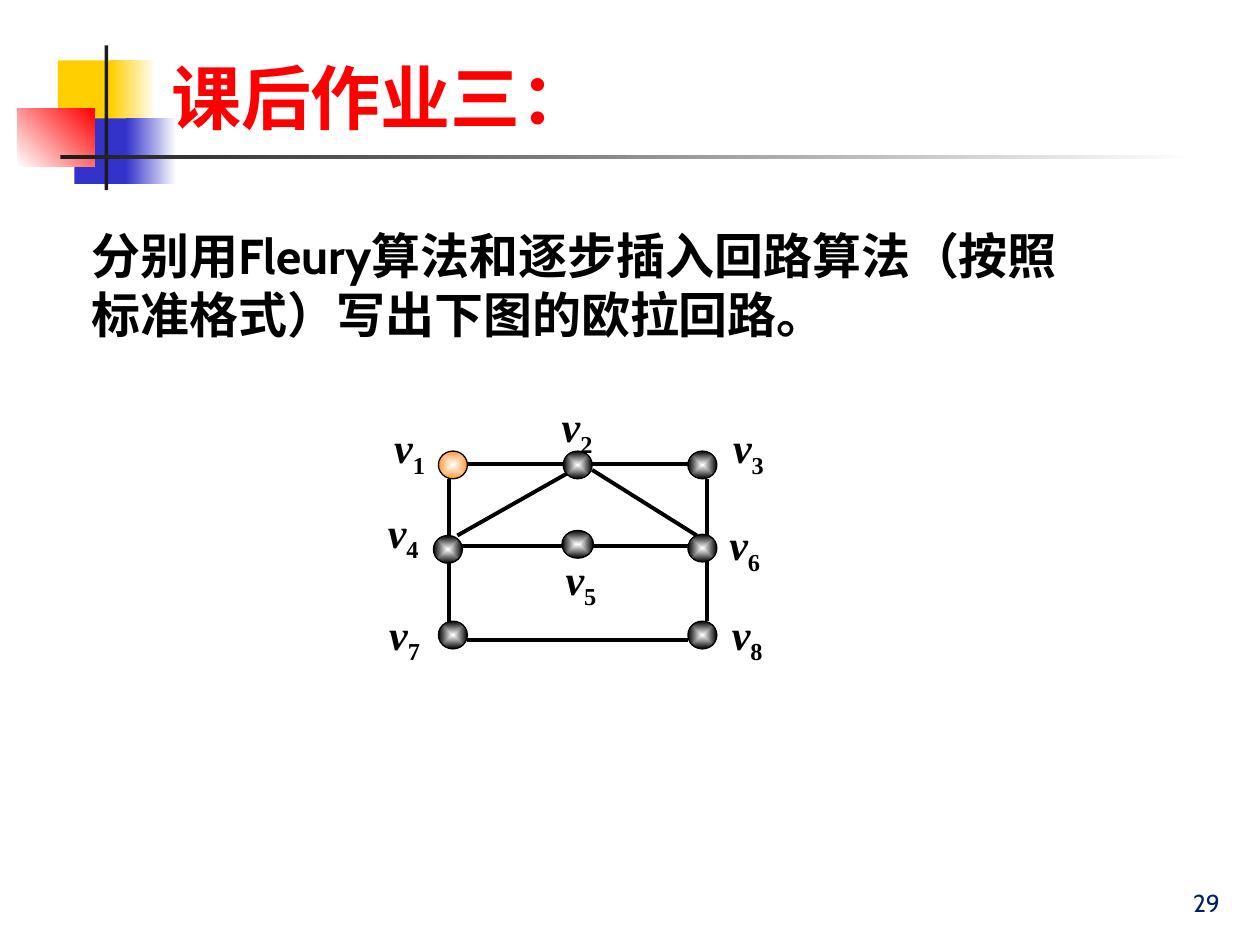
from lxml import etree
from pptx import Presentation
from pptx.dml.color import RGBColor
from pptx.enum.shapes import MSO_CONNECTOR, MSO_SHAPE
from pptx.enum.text import MSO_ANCHOR, PP_ALIGN
from pptx.oxml.ns import qn
from pptx.util import Inches, Pt

RECT, OVAL, LINE = MSO_SHAPE.RECTANGLE, MSO_SHAPE.OVAL, MSO_CONNECTOR.STRAIGHT
TOP, BOTTOM = MSO_ANCHOR.TOP, MSO_ANCHOR.BOTTOM
LEFT, RIGHT = PP_ALIGN.LEFT, PP_ALIGN.RIGHT
BLACK, WHITE = RGBColor(0, 0, 0), RGBColor(255, 255, 255)
RED, YELLOW = RGBColor(255, 0, 0), RGBColor(0xFF, 0xCF, 0x01)
BLUE, INK = RGBColor(0x33, 0x33, 0xCC), RGBColor(0x1C, 0x1C, 0x1C)
ORANGE, NAVY = RGBColor(0xFF, 0x99, 0x33), RGBColor(0, 0x20, 0x60)

prs = Presentation()
prs.slide_width, prs.slide_height = Inches(10), Inches(7.5)
U = prs.slide_width // 100  # grid of 100 columns by 75 square rows
s = prs.slides.add_slide(prs.slide_layouts[6])


def add_filled(kind, box, first, last=None, angle=None):
    """Add a shape; two colours make a gradient, from the centre if no angle."""
    sp = s.shapes.add_shape(kind, *(int(v * U) for v in box))
    sp.shadow.inherit = False
    sp.line.fill.background()
    if last is None:
        sp.fill.solid()
        sp.fill.fore_color.rgb = first
        return sp
    sp.fill.gradient()
    for stop, color in zip(sp.fill.gradient_stops, (first, last)):
        stop.color.rgb = color
    if angle is not None:
        sp.fill.gradient_angle = angle
    else:
        grad = sp._element.spPr.find(qn("a:gradFill"))
        grad.remove(grad.find(qn("a:lin")))
        center = etree.SubElement(grad, qn("a:path"), path="shape")
        etree.SubElement(center, qn("a:fillToRect"),
                         dict.fromkeys("ltrb", "50000"))
    return sp


def add_text(box, runs, anchor=TOP, align=LEFT, wrap=True):
    """Add one paragraph made of (text, font values) runs."""
    tf = s.shapes.add_textbox(*(int(v * U) for v in box)).text_frame
    tf.word_wrap, tf.vertical_anchor = wrap, anchor
    p = tf.paragraphs[0]
    p.alignment = align
    for text, values in runs:
        r = p.add_run()
        r.text = text
        for name, value in values.items():
            if name == "color":
                r.font.color.rgb = value
            else:
                setattr(r.font, name, value)
    return p


# Corner ornament and title rule
for box, *colors in (
    ((4.6, 4.8, 4.8, 5.2), YELLOW),
    ((8.8, 4.8, 3.6, 5.2), YELLOW, WHITE, 0),
    ((5.9, 9.4, 4.6, 5.2), BLUE),
    ((10, 9.4, 4, 5.2), BLUE, WHITE, 0),
    ((1.4, 8.6, 6.1, 4.6), WHITE, RED, 45),
    ((8.3, 3.6, 0.3, 11.5), INK),
    ((4.8, 12.3, 90, 0.3), INK, WHITE, 0),
):
    add_filled(RECT, box, *colors)

# Title, exercise and page number
p = add_text((12.6, 0.8, 85.2, 10.7), [("课后作业三：", dict(
    size=Pt(40), name="Cabin", bold=True, color=RED))], BOTTOM)
rPr = p.runs[0].font._element
effects = etree.Element(qn("a:effectLst"))
rPr.find(qn("a:solidFill")).addnext(effects)
shadow = etree.SubElement(effects, qn("a:outerShdw"),
                          dist="38100", dir="2700000")
etree.SubElement(shadow, qn("a:srgbClr"), val="000000")
add_text((6.3, 17.4, 79.8, 15.1), [(
    "分别用Fleury算法和逐步插入回路算法（按照标准格式）写出下图的欧拉回路。",
    dict(size=Pt(28), name="Cabin", bold=True, color=BLACK))])
add_text((77, 68.3, 20.8, 5), [("29", dict(
    size=Pt(14), name="Cabin", color=NAVY))], BOTTOM, RIGHT)

# Graph edges
for ends in (
    (36.3, 42.5, 45.5, 37.3),
    (47, 37.3, 55.3, 42.5),
    (35.6, 38, 35.6, 50),
    (56.1, 38, 56.1, 49.3),
    (37.1, 36.8, 54.6, 36.8),
    (36.3, 43.3, 54.6, 43.3),
    (37.1, 50.8, 54.6, 50.8),
):
    edge = s.shapes.add_connector(LINE, *(int(v * U) for v in ends))
    edge.line.color.rgb, edge.line.width = BLACK, Pt(2.25)
    etree.SubElement(edge._element.spPr, qn("a:effectLst"))

# Vertices v1 to v8: left and top of the dot, then of its label
LABEL = dict(size=Pt(24), name="Times New Roman", bold=True, color=BLACK)
for i, (x, y, label_x, label_y) in enumerate((
    (34.8, 35.8, 30.3, 33),
    (44.7, 35.8, 43.6, 31.3),
    (54.6, 35.8, 57.2, 33),
    (34.4, 42.5, 29.8, 39.7),
    (44.6, 42.1, 43.9, 43.4),
    (54.6, 42.4, 56.9, 40.7),
    (34.8, 49.3, 29.9, 47.8),
    (54.6, 49.3, 57.1, 47.8),
), 1):
    width = 2.5 if i == 5 else 2.3
    dot = add_filled(OVAL, (x, y, width, 2.2), WHITE,
                     ORANGE if i == 1 else BLACK)
    dot.line.color.rgb, dot.line.width = BLACK, Pt(0.75)
    p = add_text((label_x, label_y, 4.6, 5),
                 [("v", LABEL | {"italic": True}), (str(i), LABEL)], wrap=False)
    p.runs[1].font._element.set("baseline", "-25000")

prs.save("out.pptx")
